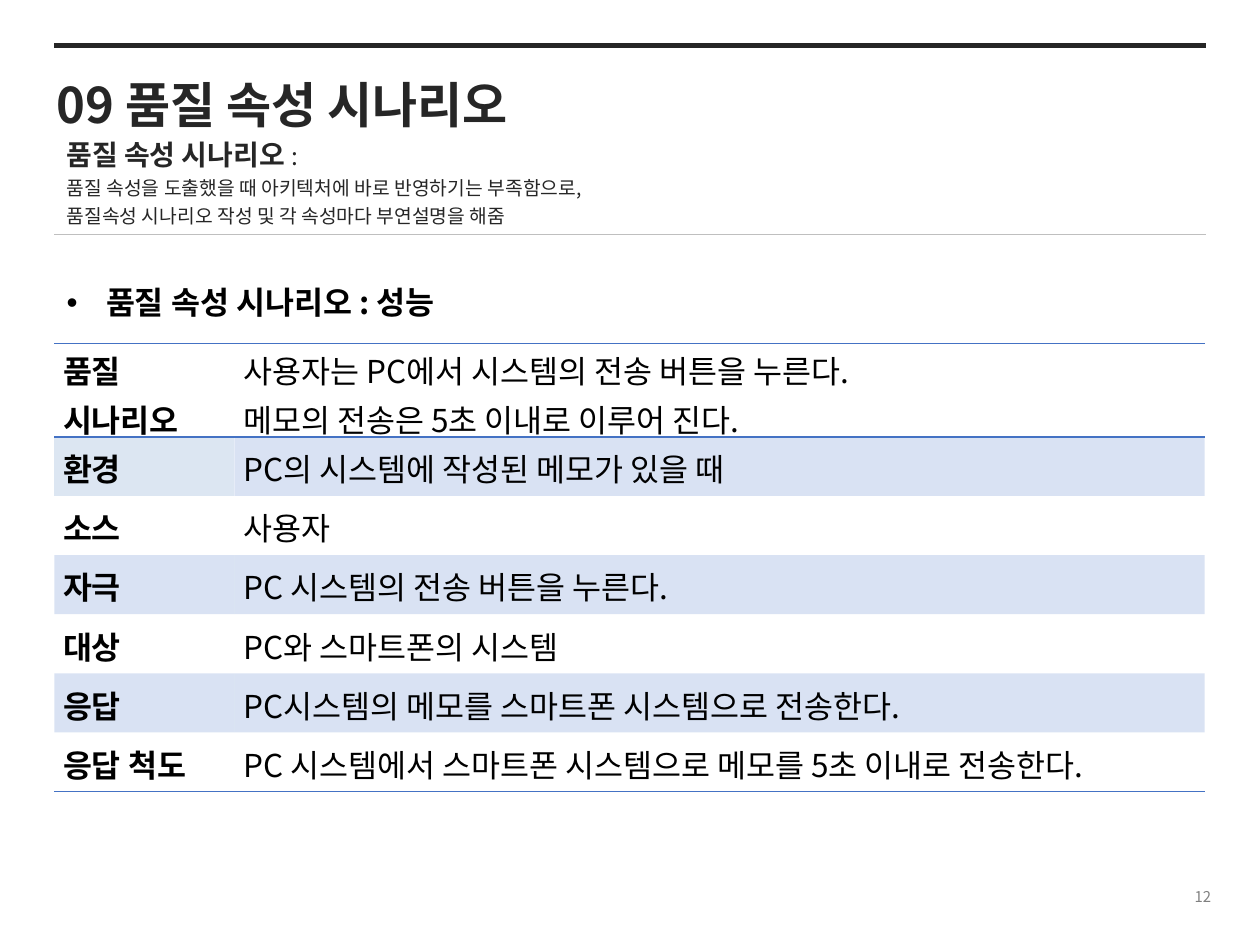
from lxml import etree
from pptx import Presentation
from pptx.dml.color import RGBColor
from pptx.enum.shapes import MSO_CONNECTOR as CONN
from pptx.enum.text import MSO_ANCHOR as ANCHOR, PP_ALIGN as ALIGN
from pptx.oxml.ns import qn
from pptx.util import Pt

FONT = "Noto Sans CJK KR"
COLORS = {"ink": "262626", "black": "000000", "gray": "808080",
          "rule": "BFBFBF", "blue": "4472C4", "pale": "DCE6F2"}
NO_STYLE = "{2D5ABB26-0587-4C30-8999-92F81FD0307C}"


def rgb(name):
    return RGBColor.from_string(COLORS[name])


def add_text(p, text, size=18, color="black", bold=False, align=None, spacing=None):
    """Append a formatted run to a paragraph."""
    r = p.add_run()
    r.text = text
    f = r.font
    f.size, f.bold, f.name = Pt(size), bold, FONT
    f.color.rgb = rgb(color)
    etree.SubElement(r._r.get_or_add_rPr(), qn("a:ea")).set("typeface", FONT)
    if align is not None:
        p.alignment = align
    if spacing is not None:
        p.line_spacing = spacing


class SlideBuilder:
    def __init__(self, prs):
        self.s = prs.slides.add_slide(prs.slide_layouts[5])

    def title(self, text, x, y, w, h):
        sp = self.s.shapes.title
        sp.left, sp.top, sp.width, sp.height = map(Pt, (x, y, w, h))
        tf = sp.text_frame
        tf.vertical_anchor = ANCHOR.TOP
        add_text(tf.paragraphs[0], text, size=28, color="ink", bold=True, align=ALIGN.LEFT)

    def text(self, lines, x, y, w, h, anchor=ANCHOR.TOP, bullet=False):
        """Each line is a list of (text, format) pairs."""
        tf = self.s.shapes.add_textbox(*map(Pt, (x, y, w, h))).text_frame
        tf.word_wrap, tf.vertical_anchor = True, anchor
        for i, line in enumerate(lines):
            p = tf.add_paragraph() if i else tf.paragraphs[0]
            for text, fmt in line:
                add_text(p, text, **fmt)
            if bullet:
                pPr = p._p.get_or_add_pPr()
                pPr.set("marL", str(Pt(22.5)))
                pPr.set("indent", str(-Pt(22.5)))
                etree.SubElement(pPr, qn("a:buFont")).set("typeface", "Arial")
                etree.SubElement(pPr, qn("a:buChar")).set("char", "•")

    def rule(self, x1, x2, y, color, width):
        c = self.s.shapes.add_connector(CONN.STRAIGHT, Pt(x1), Pt(y), Pt(x2), Pt(y))
        c.line.color.rgb, c.line.width = rgb(color), Pt(width)
        etree.SubElement(c._element.spPr, qn("a:effectLst"))

    def border(self, cell, *sides):
        tcPr = cell._tc.get_or_add_tcPr()
        for i, side in enumerate(sides):
            ln = etree.Element(qn("a:ln" + side), w=str(Pt(1)))
            fill = etree.SubElement(ln, qn("a:solidFill"))
            etree.SubElement(fill, qn("a:srgbClr"), val=COLORS["blue"])
            tcPr.insert(i, ln)

    def fill(self, cell, color, alpha=None):
        if color is None:
            cell.fill.background()
            return
        cell.fill.solid()
        cell.fill.fore_color.rgb = rgb(color)
        if alpha:
            clr = cell._tc.tcPr.find(".//" + qn("a:srgbClr"))
            etree.SubElement(clr, qn("a:alpha"), val=str(alpha * 1000))

    def table(self, rows, x, y, widths, heights):
        frame = self.s.shapes.add_table(len(rows), len(widths), Pt(x), Pt(y),
                                        Pt(sum(widths)), Pt(sum(heights)))
        t = frame.table
        t.first_row = t.horz_banding = False
        t._tbl.tblPr.find(qn("a:tableStyleId")).text = NO_STYLE
        for col, w in zip(t.columns, widths):
            col.width = Pt(w)
        for i, (row, h) in enumerate(zip(rows, heights)):
            t.rows[i].height = Pt(h)
            for j, text in enumerate(row):
                cell = t.cell(i, j)
                cell.margin_left = cell.margin_right = Pt(5)
                cell.margin_top = cell.margin_bottom = 0
                cell.vertical_anchor = ANCHOR.MIDDLE
                tf = cell.text_frame
                for k, line in enumerate(text.split("\n")):
                    p = tf.add_paragraph() if k else tf.paragraphs[0]
                    add_text(p, line, bold=j == 0, spacing=1.07)
                # Odd rows are tinted; the first label has a solid tint
                if (i, j) == (1, 0):
                    self.fill(cell, "pale")
                else:
                    self.fill(cell, "blue" if i % 2 else None, alpha=20)
                if i == 0:
                    self.border(cell, "T", "B")
                elif i == len(rows) - 1:
                    self.border(cell, "B")


prs = Presentation()
prs.slide_width, prs.slide_height = Pt(720), Pt(540)
b = SlideBuilder(prs)
LEFT, RIGHT = 31, 689

# Header
b.rule(LEFT, RIGHT, 134, "rule", 0.5)
b.rule(LEFT, RIGHT, 26, "ink", 3)
b.title("09 품질 속성 시나리오", 25.2, 38.9, 544, 41)
body = dict(size=11, color="ink", spacing=Pt(16))
b.text([
    [("품질 속성 시나리오 ", {**body, "size": 16, "bold": True}), (": ", {**body, "size": 14})],
    [("품질 속성을 도출했을 때 아키텍처에 바로 반영하기는 부족함으로, ", body)],
    [("품질속성 시나리오 작성 및 각 속성마다 부연설명을 해줌", body)],
], LEFT, 78.5, 556, 55.4)

# Scenario table
b.text([[("품질 속성 시나리오 : 성능", dict(bold=True))]], LEFT, 158.4, 476, 29, bullet=True)
scenario = [
    ("품질\n시나리오", "사용자는 PC에서 시스템의 전송 버튼을 누른다.\n메모의 전송은 5초 이내로 이루어 진다."),
    ("환경", "PC의 시스템에 작성된 메모가 있을 때"),
    ("소스", "사용자"),
    ("자극", "PC 시스템의 전송 버튼을 누른다."),
    ("대상", "PC와 스마트폰의 시스템"),
    ("응답", "PC시스템의 메모를 스마트폰 시스템으로 전송한다."),
    ("응답 척도", "PC 시스템에서 스마트폰 시스템으로 메모를 5초 이내로 전송한다."),
]
b.table(scenario, LEFT, 196.4, [103, 554.4], [53.2] + [33.8] * 6)

# Page number
b.text([[("12", dict(size=8.5, color="gray", align=ALIGN.RIGHT))]],
       547.2, 502.6, 152, 19.4, anchor=ANCHOR.MIDDLE)

prs.save("out.pptx")
